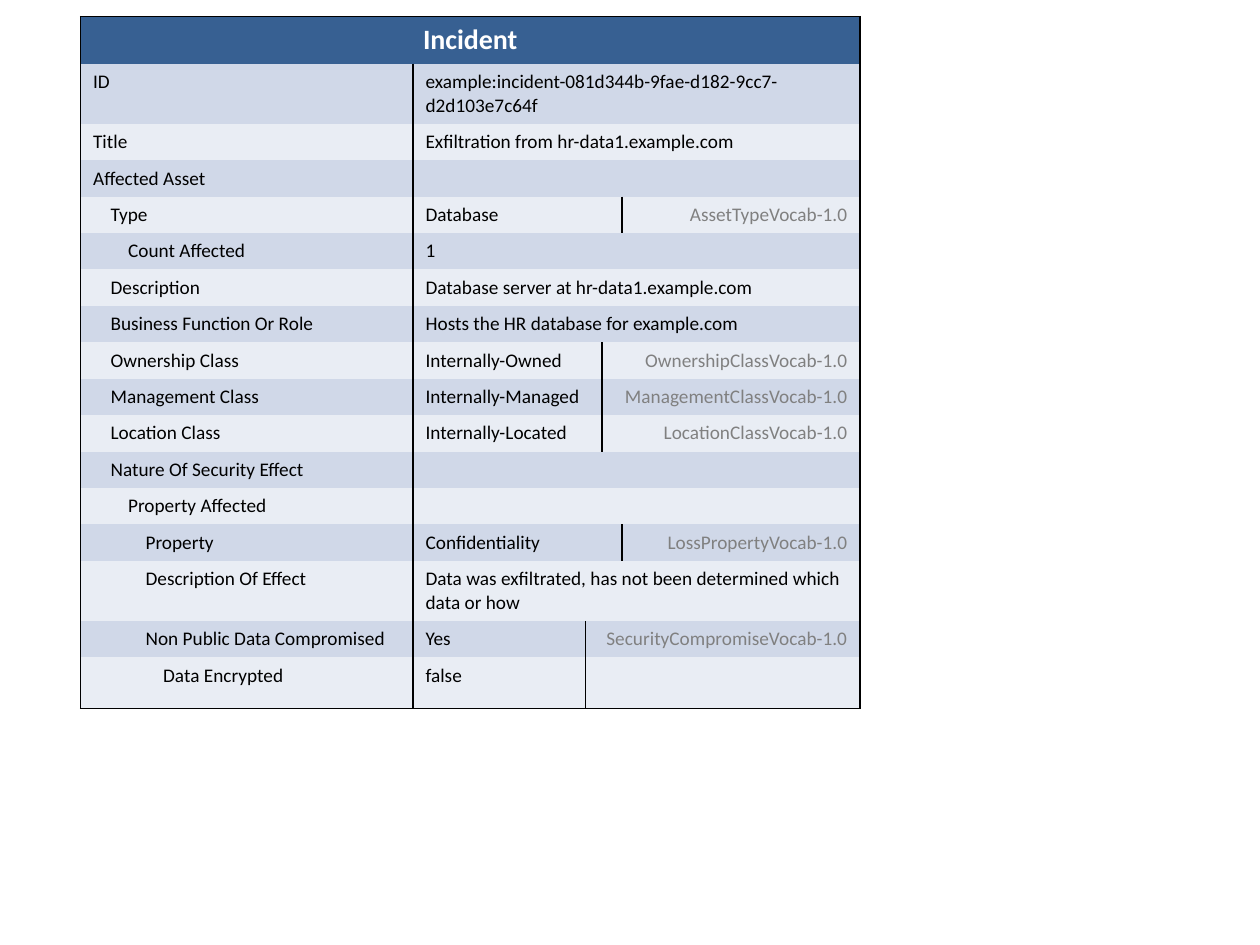
from lxml import etree
from pptx import Presentation
from pptx.dml.color import RGBColor
from pptx.enum.text import PP_ALIGN
from pptx.oxml.ns import qn
from pptx.util import Pt

LEFT, CENTER, RIGHT = PP_ALIGN.LEFT, PP_ALIGN.CENTER, PP_ALIGN.RIGHT
FONT = "Calibri"
BLACK, WHITE, GRAY = "000000", "FFFFFF", "808080"
HEADER_FILL = "376092"
BANDS = ("D0D8E8", "E9EDF4")
PLAIN_STYLE = "{2D5ABB26-0587-4C30-8999-92F81FD0307C}"

TITLE = "Incident"
# level, field, value, vocabulary, first vocabulary column
FIELDS = [
    (0, "ID", "example:incident-081d344b-9fae-d182-9cc7-d2d103e7c64f", "", None),
    (0, "Title", "Exfiltration from hr-data1.example.com", "", None),
    (0, "Affected Asset", "", "", None),
    (1, "Type", "Database", "AssetTypeVocab-1.0", 4),
    (2, "Count Affected", "1", "", None),
    (1, "Description", "Database server at hr-data1.example.com", "", None),
    (1, "Business Function Or Role", "Hosts the HR database for example.com", "", None),
    (1, "Ownership Class", "Internally-Owned", "OwnershipClassVocab-1.0", 3),
    (1, "Management Class", "Internally-Managed", "ManagementClassVocab-1.0", 3),
    (1, "Location Class", "Internally-Located", "LocationClassVocab-1.0", 3),
    (1, "Nature Of Security Effect", "", "", None),
    (2, "Property Affected", "", "", None),
    (3, "Property", "Confidentiality", "LossPropertyVocab-1.0", 4),
    (3, "Description Of Effect",
     "Data was exfiltrated, has not been determined which data or how", "", None),
    (3, "Non Public Data Compromised", "Yes", "SecurityCompromiseVocab-1.0", 2),
    (4, "Data Encrypted", "false", "", 2),
]

TABLE_LEFT, TABLE_TOP = 46, 9.5
COLUMN_WIDTHS = (190, 98.5, 9.5, 11.5, 136)
LAST_COLUMN = len(COLUMN_WIDTHS) - 1
HEADER_HEIGHT, LINE_HEIGHT, TWO_LINE_HEIGHT, LAST_HEIGHT = 26.9, 20.8, 34.3, 29.3
WRAP_LENGTH = 45
MARGIN, INDENT = 7.2, 10


def rgb(color):
    return RGBColor.from_string(color)


def add_borders(cell, sides):
    for side in sides:
        line = etree.SubElement(cell._tc.get_or_add_tcPr(), qn(f"a:ln{side}"), w=str(Pt(1)))
        fill = etree.SubElement(line, qn("a:solidFill"))
        etree.SubElement(fill, qn("a:srgbClr"), val=BLACK)


def fill_cells(table, row, first, last, text, fill, color=BLACK, size=11,
               align=LEFT, bold=False, level=0):
    last_row = len(table.rows) - 1
    cell = table.cell(row, first)
    if last > first:
        cell.merge(table.cell(row, last))
    sides = [side for side, shown in (
        ("L", first < 2), ("R", last == LAST_COLUMN),
        ("T", row == 0), ("B", row == last_row)) if shown]
    for column in range(first, last + 1):
        part = table.cell(row, column)
        add_borders(part, [side for side in sides if side != "L" or column == first])
        part.fill.solid()
        part.fill.fore_color.rgb = rgb(fill)
    cell.margin_left = Pt(MARGIN + level * INDENT)
    paragraph = cell.text_frame.paragraphs[0]
    paragraph.alignment = align
    font = paragraph.font
    font.name, font.size, font.bold = FONT, Pt(size), bold
    font.color.rgb = rgb(color)
    if text:
        paragraph.add_run().text = text
    else:
        etree.SubElement(paragraph._p, qn("a:endParaRPr"), sz=str(size * 100))


def row_height(value):
    return TWO_LINE_HEIGHT if len(value) > WRAP_LENGTH else LINE_HEIGHT


prs = Presentation()
prs.slide_width, prs.slide_height = Pt(720), Pt(540)
slide = prs.slides.add_slide(prs.slide_layouts[6])

heights = [HEADER_HEIGHT, *(row_height(field[2]) for field in FIELDS[:-1]), LAST_HEIGHT]
table = slide.shapes.add_table(
    len(heights), len(COLUMN_WIDTHS), Pt(TABLE_LEFT), Pt(TABLE_TOP),
    Pt(sum(COLUMN_WIDTHS)), Pt(sum(heights))).table
table._tbl.tblPr.find(qn("a:tableStyleId")).text = PLAIN_STYLE
for column, width in zip(table.columns, COLUMN_WIDTHS):
    column.width = Pt(width)
for row, height in zip(table.rows, heights):
    row.height = Pt(height)

fill_cells(table, 0, 0, LAST_COLUMN, TITLE, HEADER_FILL, WHITE, 16, CENTER, True)
for row, (level, field, value, vocabulary, split) in enumerate(FIELDS, 1):
    band = BANDS[(row - 1) % 2]
    fill_cells(table, row, 0, 0, field, band, level=level)
    fill_cells(table, row, 1, split - 1 if split else LAST_COLUMN, value, band)
    if split:
        fill_cells(table, row, split, LAST_COLUMN, vocabulary, band, GRAY, align=RIGHT)

prs.save("out.pptx")
